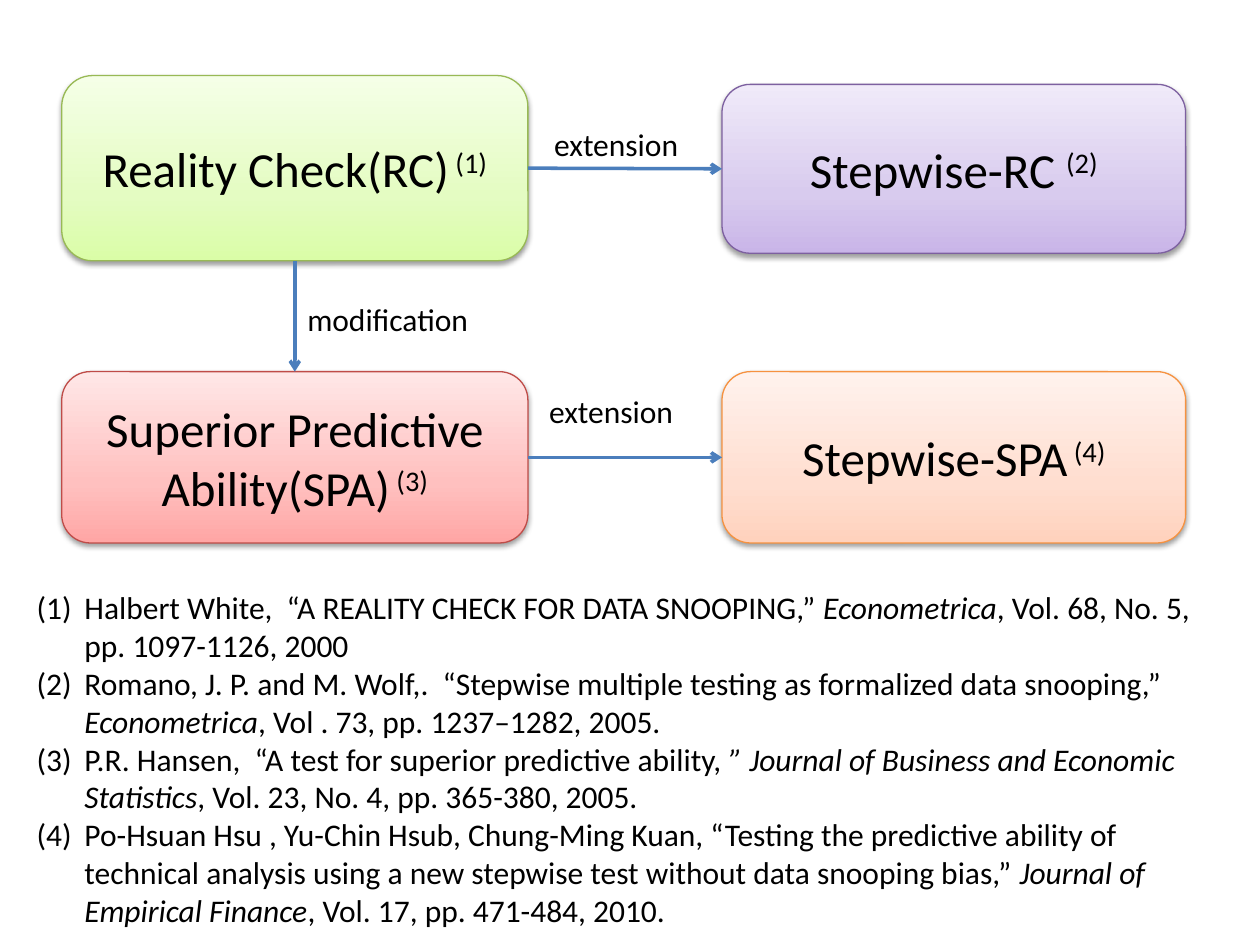
from dataclasses import dataclass

from lxml.etree import SubElement
from pptx import Presentation
from pptx.dml.color import RGBColor
from pptx.enum.shapes import MSO_CONNECTOR as Connector, MSO_SHAPE as Shape
from pptx.enum.text import MSO_ANCHOR as Anchor, MSO_AUTO_SIZE as AutoSize, PP_ALIGN as Align
from pptx.oxml.ns import qn
from pptx.util import Inches, Pt


@dataclass(frozen=True)
class Theme:
    font: str = "Calibri"
    text: str = "000000"
    arrow: str = "4B7EBC"
    shadow: str = "000000"
    box_size: int = 28
    small_size: int = 18
    green: tuple = ("98B955", "DAFDA7", "E4FCC2", "F5FFE7")
    purple: tuple = ("7D60A0", "C9B5E8", "D8CBEE", "F0EAF9")
    red: tuple = ("BF4C48", "FFA6A5", "FFC0BF", "FFE7E7")
    orange: tuple = ("F69240", "FFD2BD", "FFDED0", "FFF2ED")


THEME = Theme()
RIGHT, LEFT, TOP, BOTTOM = 3, 1, 0, 2

REFERENCES = [
    ("Halbert White,  “A REALITY CHECK FOR DATA SNOOPING,” ",
     "Econometrica", ", Vol. 68, No. 5, pp. 1097-1126, 2000"),
    ("Romano, J. P. and M. Wolf,.  “Stepwise multiple testing as formalized data snooping,” ",
     "Econometrica", ", Vol . 73, pp. 1237–1282, 2005."),
    ("P.R. Hansen,  “A test for superior predictive ability, ",
     "” Journal of Business and Economic Statistics", ", Vol. 23, No. 4, pp. 365-380, 2005."),
    ("Po-Hsuan Hsu , Yu-Chin Hsub, Chung-Ming Kuan, “Testing the predictive ability of "
     "technical analysis using a new stepwise test without data snooping bias,” ",
     "Journal of Empirical Finance", ", Vol. 17, pp. 471-484, 2010."),
]


def add_text(paragraph, text, size=THEME.small_size, italic=False, superscript=False):
    run = paragraph.add_run()
    run.text = text
    run.font.name = THEME.font
    run.font.size = Pt(size)
    run.font.italic = italic
    run.font.color.rgb = RGBColor.from_string(THEME.text)
    if superscript:
        run.font._element.set("baseline", "30000")


def add_color(parent, color):
    return SubElement(parent, qn("a:srgbClr"), val=color)


def fill_gradient(shape, colors):
    gradient = SubElement(shape._element.spPr, qn("a:gradFill"), rotWithShape="1")
    stops = SubElement(gradient, qn("a:gsLst"))
    for position, color in zip((0, 35, 100), colors):
        add_color(SubElement(stops, qn("a:gs"), pos=str(position * 1000)), color)
    SubElement(gradient, qn("a:lin"), ang="16200000", scaled="1")


def add_shadow(shape):
    shape.shadow.inherit = False
    effects = shape._element.spPr.find(qn("a:effectLst"))
    shadow = SubElement(effects, qn("a:outerShdw"), blurRad=str(Pt(3.1)), dist=str(Pt(1.6)),
                        dir="5400000", rotWithShape="0")
    SubElement(add_color(shadow, THEME.shadow), qn("a:alpha"), val="38000")


def add_box(slide, name, mark, palette, left, top, width, height):
    box = slide.shapes.add_shape(Shape.ROUNDED_RECTANGLE, Inches(left), Inches(top),
                                 Inches(width), Inches(height))
    line_color, *colors = palette
    fill_gradient(box, colors)
    box.line.color.rgb = RGBColor.from_string(line_color)
    box.line.width = Pt(0.75)
    add_shadow(box)
    box.text_frame.vertical_anchor = Anchor.MIDDLE
    paragraph = box.text_frame.paragraphs[0]
    paragraph.alignment = Align.CENTER
    add_text(paragraph, name, size=THEME.box_size)
    add_text(paragraph, mark, size=THEME.box_size, superscript=True)
    return box


def add_arrow(slide, start, start_side, end, end_side):
    arrow = slide.shapes.add_connector(Connector.STRAIGHT, 0, 0, 0, 0)
    arrow.begin_connect(start, start_side)
    arrow.end_connect(end, end_side)
    arrow.line.color.rgb = RGBColor.from_string(THEME.arrow)
    arrow.line.width = Pt(2)
    SubElement(arrow.line._get_or_add_ln(), qn("a:tailEnd"), type="arrow")
    SubElement(arrow._element.spPr, qn("a:effectLst"))


def add_label(slide, text, left, top, width):
    label = slide.shapes.add_textbox(Inches(left), Inches(top), Inches(width), Inches(0.4))
    label.text_frame.word_wrap = True
    add_text(label.text_frame.paragraphs[0], text)


def add_references(slide):
    body = slide.placeholders[1]
    body.left, body.top = Inches(0.19), Inches(4.62)
    body.width, body.height = Inches(9.69), Inches(2.83)
    frame = body.text_frame
    frame.auto_size = AutoSize.NONE
    for index, (authors, journal, details) in enumerate(REFERENCES):
        paragraph = frame.add_paragraph() if index else frame.paragraphs[0]
        paragraph.space_before = Pt(0)
        properties = paragraph._p.get_or_add_pPr()
        properties.set("marL", str(Inches(0.38)))
        properties.set("indent", str(Inches(-0.38)))
        SubElement(properties, qn("a:buFont"), typeface=THEME.font)
        SubElement(properties, qn("a:buAutoNum"), type="arabicParenBoth")
        add_text(paragraph, authors)
        add_text(paragraph, journal, italic=True)
        add_text(paragraph, details)


def main():
    presentation = Presentation()
    presentation.slide_width, presentation.slide_height = Inches(10), Inches(7.5)
    slide = presentation.slides.add_slide(presentation.slide_layouts[1])
    title = slide.shapes.title._element
    title.getparent().remove(title)

    add_references(slide)
    check = add_box(slide, "Reality Check(RC)", " (1)", THEME.green, 0.49, 0.6, 3.7, 1.47)
    step_check = add_box(slide, "Stepwise-RC ", "(2)", THEME.purple, 5.73, 0.67, 3.68, 1.34)
    ability = add_box(slide, "Superior Predictive Ability(SPA)", " (3)", THEME.red,
                      0.49, 2.95, 3.7, 1.36)
    step_ability = add_box(slide, "Stepwise-SPA", " (4)", THEME.orange, 5.73, 2.95, 3.68, 1.36)

    add_arrow(slide, check, RIGHT, step_check, LEFT)
    add_label(slide, "extension", 4.3, 0.94, 1.47)
    add_arrow(slide, check, BOTTOM, ability, TOP)
    add_label(slide, "modification", 2.34, 2.33, 1.85)
    add_arrow(slide, ability, RIGHT, step_ability, LEFT)
    add_label(slide, "extension", 4.26, 3.06, 1.47)

    presentation.save("out.pptx")


if __name__ == "__main__":
    main()
